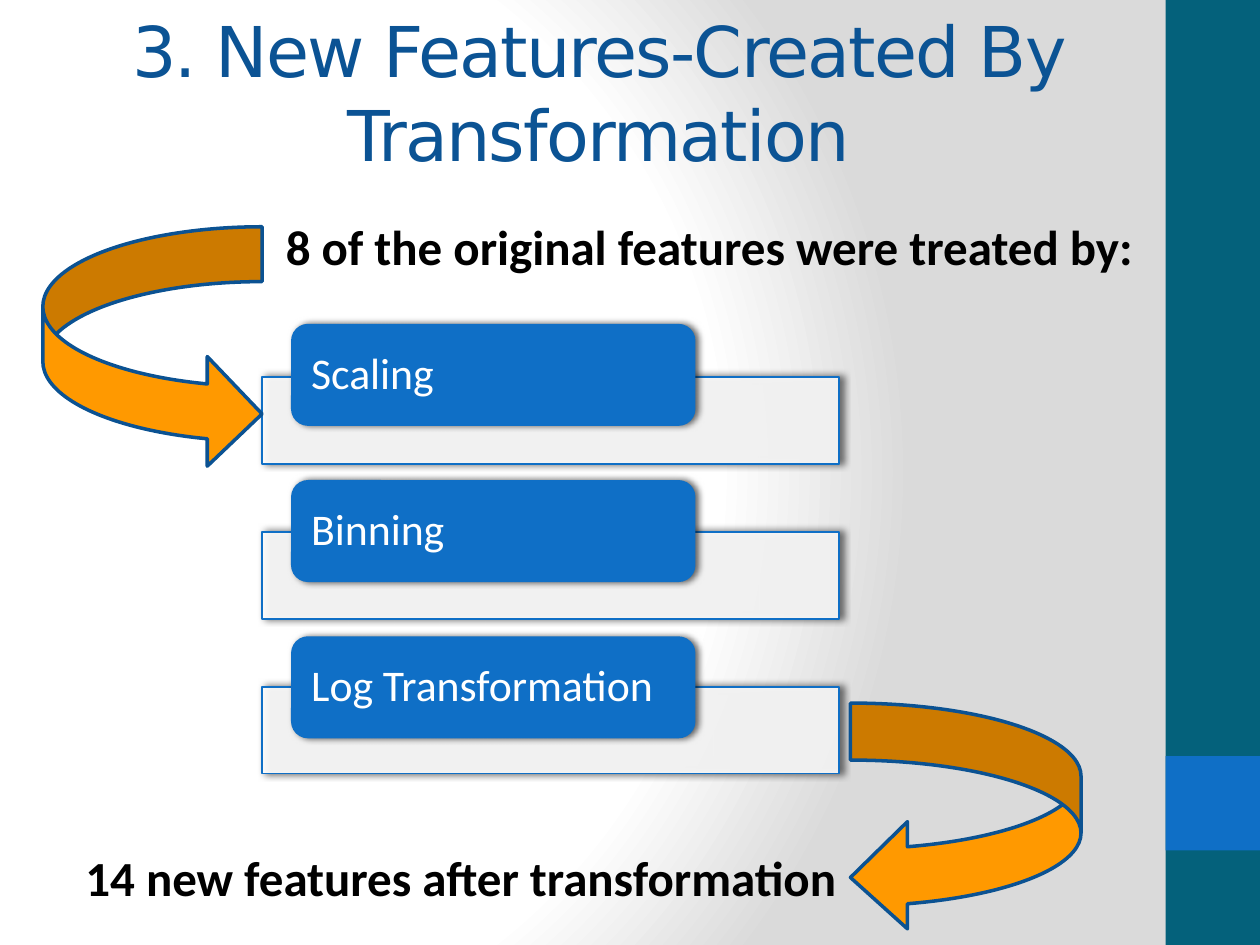
import pptx
import pptx.util
import pptx.dml.color
import pptx.enum.shapes
import pptx.enum.text
import pptx.oxml
import pptx.oxml.ns
from dataclasses import dataclass

Inches = pptx.util.Inches
Pt = pptx.util.Pt
Kind = pptx.enum.shapes.MSO_SHAPE
Fit = pptx.enum.text.MSO_AUTO_SIZE
Anchor = pptx.enum.text.MSO_ANCHOR
Align = pptx.enum.text.PP_ALIGN
qn = pptx.oxml.ns.qn
NS = pptx.oxml.ns.nsdecls("a")


@dataclass(frozen=True)
class Theme:
    teal: str = "04617B"
    blue: str = "0F6FC6"
    navy: str = "0B5292"
    title: str = "0B5394"
    gold: str = "FF9900"
    white: str = "FFFFFF"
    gray: str = "DADADA"
    black: str = "000000"
    head: str = "DejaVu Sans"
    body: str = "Calibri"
    big: int = 40
    mid: int = 28
    small: int = 25


T = Theme()


def rgb(code):
    return pptx.dml.color.RGBColor.from_string(code)


def place(item, box):
    item.left, item.top, item.width, item.height = map(Inches, box)


def style(para, text, size, color, face=T.body, bold=False):
    para.text = text
    font = para.font
    font.size, font.name, font.bold = Pt(size), face, bold
    font.color.rgb = rgb(color)


def add_back(slide):
    slide.background.fill.gradient()
    grad = slide.element.find(".//" + qn("a:gradFill"))
    stops = "".join(
        f'<a:gs pos="{pos * 1000}"><a:srgbClr val="{color}"/></a:gs>'
        for pos, color in ((0, T.white), (75, T.white), (100, T.gray)))
    grad.getparent().replace(grad, pptx.oxml.parse_xml(
        f'<a:gradFill {NS} rotWithShape="1"><a:gsLst>{stops}</a:gsLst>'
        '<a:path path="circle"><a:fillToRect l="20000" t="50000" '
        'r="100000" b="50000"/></a:path></a:gradFill>'))


def add_form(slide, kind, box, fill, line=None, width=1):
    form = slide.shapes.add_shape(kind, *map(Inches, box))
    form.shadow.inherit = False
    form.fill.solid()
    form.fill.fore_color.rgb = rgb(fill)
    if line:
        form.line.color.rgb = rgb(line)
        form.line.width = Pt(width)
    else:
        form.line.fill.background()
    return form


def add_shade(form):
    list_ = form._element.spPr.find(qn("a:effectLst"))
    list_.append(pptx.oxml.parse_xml(
        f'<a:outerShdw {NS} blurRad="{Pt(4)}" dist="{Pt(2)}" dir="0" '
        f'rotWithShape="0"><a:srgbClr val="{T.black}">'
        '<a:alpha val="60000"/></a:srgbClr></a:outerShdw>'))


def add_card(slide, row, text):
    bar = add_form(slide, Kind.RECTANGLE, (2.08, 2.99 + 1.23 * row, 4.58, 0.69),
                   T.white, T.blue)
    tint = bar._element.spPr.find(qn("a:solidFill"))[0]
    tint.append(pptx.oxml.parse_xml(f'<a:alpha {NS} val="90000"/>'))
    tab = add_form(slide, Kind.ROUNDED_RECTANGLE,
                   (2.31, 2.57 + 1.24 * row, 3.21, 0.81), T.blue)
    for form in (bar, tab):
        add_shade(form)
    frame = tab.text_frame
    frame.margin_left = frame.margin_right = Inches(0.12)
    frame.margin_top = frame.margin_bottom = 0
    frame.vertical_anchor = Anchor.MIDDLE
    para = frame.paragraphs[0]
    para.alignment = Align.LEFT
    para.line_spacing = 0.9
    style(para, text, T.small, T.white)


def add_title(slide, text):
    title = slide.shapes.title
    place(title, (0.34, 0.36, 8.82, 0.74))
    frame = title.text_frame
    frame.auto_size = Fit.NONE
    frame.vertical_anchor = Anchor.MIDDLE
    para = frame.paragraphs[0]
    para.alignment = Align.CENTER
    style(para, text, T.big, T.title, T.head)
    para.runs[0].font._element.set("spc", "-100")


def add_note(slide, box, text):
    frame = slide.shapes.add_textbox(*map(Inches, box)).text_frame
    frame.word_wrap = True
    frame.auto_size = Fit.SHAPE_TO_FIT_TEXT
    style(frame.paragraphs[0], text, T.mid, T.black, bold=True)


def add_arrow(slide, kind, box, bend=0.5):
    arrow = add_form(slide, kind, box, T.gold, T.navy, 2)
    arrow.adjustments[1] = bend


def main():
    deck = pptx.Presentation()
    deck.slide_width, deck.slide_height = Inches(10), Inches(7.5)
    slide = deck.slides.add_slide(deck.slide_layouts[5])
    add_back(slide)
    add_form(slide, Kind.RECTANGLE, (9.25, 0, 0.75, 7.5), T.teal)
    add_form(slide, Kind.RECTANGLE, (9.25, 6, 0.75, 0.75), T.blue)
    for row, text in enumerate(("Scaling", "Binning", "Log Transformation")):
        add_card(slide, row, text)
    add_arrow(slide, Kind.CURVED_RIGHT_ARROW, (0.34, 1.8, 1.74, 1.92))
    add_title(slide, "3. New Features-Created By Transformation")
    add_note(slide, (2.17, 1.67, 7, 0.57),
             "8 of the original features were treated by:")
    add_arrow(slide, Kind.CURVED_LEFT_ARROW, (6.75, 5.58, 1.83, 1.81), 0.47)
    add_note(slide, (0.58, 6.68, 6.33, 0.57),
             "14 new features after transformation")
    deck.save("out.pptx")


if __name__ == "__main__":
    main()
